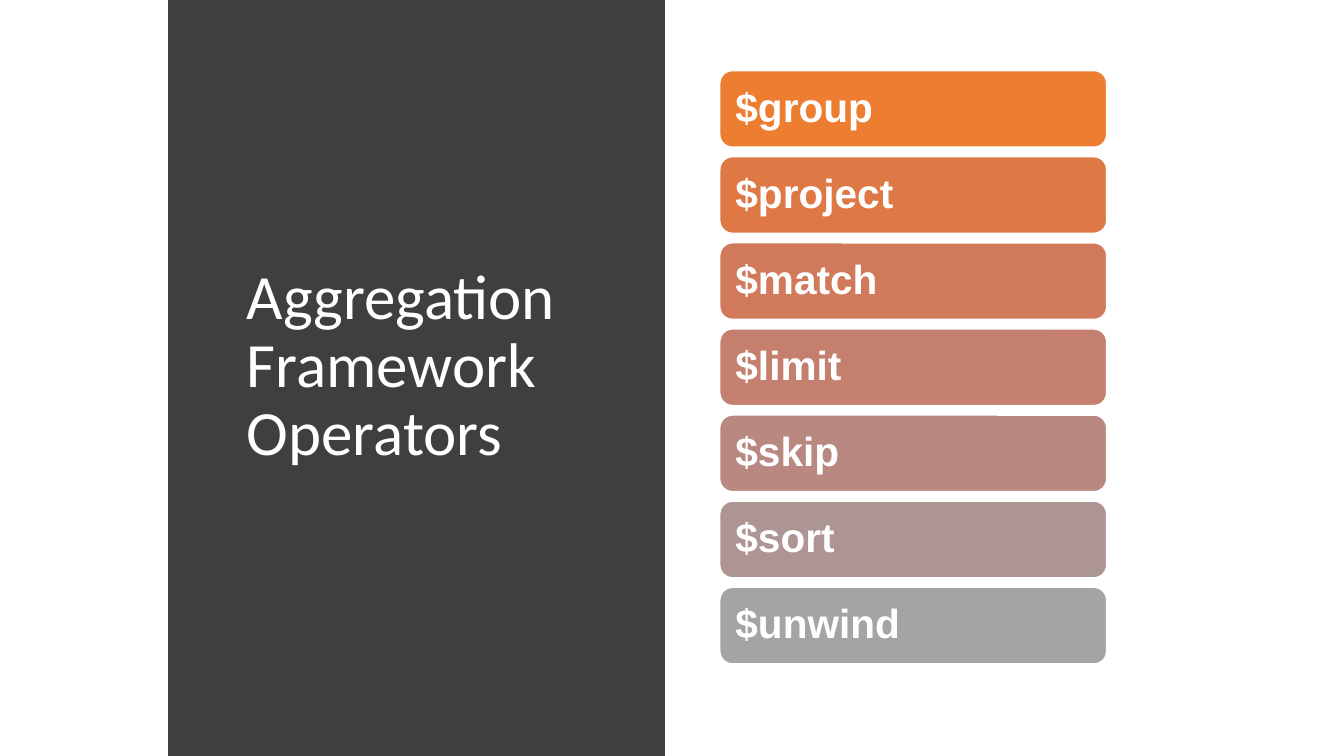
from dataclasses import dataclass

from pptx import Presentation
from pptx.dml.color import RGBColor
from pptx.enum.shapes import MSO_SHAPE
from pptx.enum.text import MSO_ANCHOR, MSO_AUTO_SIZE, PP_ALIGN
from pptx.util import Cm, Pt

RECTANGLE = MSO_SHAPE.RECTANGLE
ROUNDED = MSO_SHAPE.ROUNDED_RECTANGLE
MIDDLE = MSO_ANCHOR.MIDDLE
LEFT = PP_ALIGN.LEFT
NO_AUTOFIT = MSO_AUTO_SIZE.NONE

COLOURS = {
    "white": "FFFFFF",
    "panel": "3F3F3F",
    "orange": "ED7D31",
    "copper": "DE7946",
    "clay": "D07A5B",
    "salmon": "C47F6E",
    "rose": "B88881",
    "mauve": "AD9593",
    "grey": "A4A4A4",
}
PAGE_WIDTH, PAGE_HEIGHT = Cm(33.87), Cm(19.05)
BAR_LEFT, FIRST_BAR_TOP = Cm(18.14), Cm(1.78)
BAR_WIDTH, BAR_HEIGHT, BAR_PITCH = Cm(9.75), Cm(1.93), Cm(2.17)


@dataclass
class Operator:
    name: str
    colour: str


OPERATORS = [
    Operator("$group", "orange"),
    Operator("$project", "copper"),
    Operator("$match", "clay"),
    Operator("$limit", "salmon"),
    Operator("$skip", "rose"),
    Operator("$sort", "mauve"),
    Operator("$unwind", "grey"),
]


def colour(name: str) -> RGBColor:
    return RGBColor.from_string(COLOURS[name])


def write_text(box, text: str, font: str, size: float, bold: bool,
               side_inset: Cm, end_inset: Cm) -> None:
    """Put one white, left-aligned, vertically centred paragraph in a box."""
    frame = box.text_frame
    frame.word_wrap = True
    frame.auto_size = NO_AUTOFIT
    frame.vertical_anchor = MIDDLE
    frame.margin_left = frame.margin_right = side_inset
    frame.margin_top = frame.margin_bottom = end_inset
    para = frame.paragraphs[0]
    para.alignment = LEFT
    para.line_spacing = 0.9
    span = para.add_run()
    span.text = text
    span.font.name = font
    span.font.size = Pt(size)
    span.font.bold = bold
    span.font.color.rgb = colour("white")


def add_panel(page):
    panel = page.shapes.add_shape(RECTANGLE, Cm(4.24), 0, Cm(12.52), PAGE_HEIGHT)
    panel.shadow.inherit = False
    panel.fill.solid()
    panel.fill.fore_color.rgb = colour("panel")
    panel.line.fill.background()
    return panel


def add_title(page, panel) -> None:
    """Place the title in front of the dark panel."""
    title = page.shapes.title
    title.element.addprevious(panel.element)
    title.left, title.top = Cm(5.97), Cm(1.73)
    title.width, title.height = Cm(9.98), Cm(15.04)
    write_text(title, "Aggregation Framework Operators", "Calibri", 45, False,
               Cm(0.25), Cm(0.13))


def add_operator_bar(page, index: int, operator: Operator) -> None:
    bar = page.shapes.add_shape(ROUNDED, BAR_LEFT, FIRST_BAR_TOP + index * BAR_PITCH,
                                BAR_WIDTH, BAR_HEIGHT)
    bar.shadow.inherit = False
    bar.fill.solid()
    bar.fill.fore_color.rgb = colour(operator.colour)
    bar.line.color.rgb = colour("white")
    bar.line.width = Pt(1)
    write_text(bar, operator.name, "Arial", 29, True, Cm(0.3), Cm(0.3))


def main() -> None:
    deck = Presentation()
    deck.slide_width, deck.slide_height = PAGE_WIDTH, PAGE_HEIGHT
    page = deck.slides.add_slide(deck.slide_layouts.get_by_name("Title Only"))
    add_title(page, add_panel(page))
    for index, operator in enumerate(OPERATORS):
        add_operator_bar(page, index, operator)
    deck.save("out.pptx")


if __name__ == "__main__":
    main()
